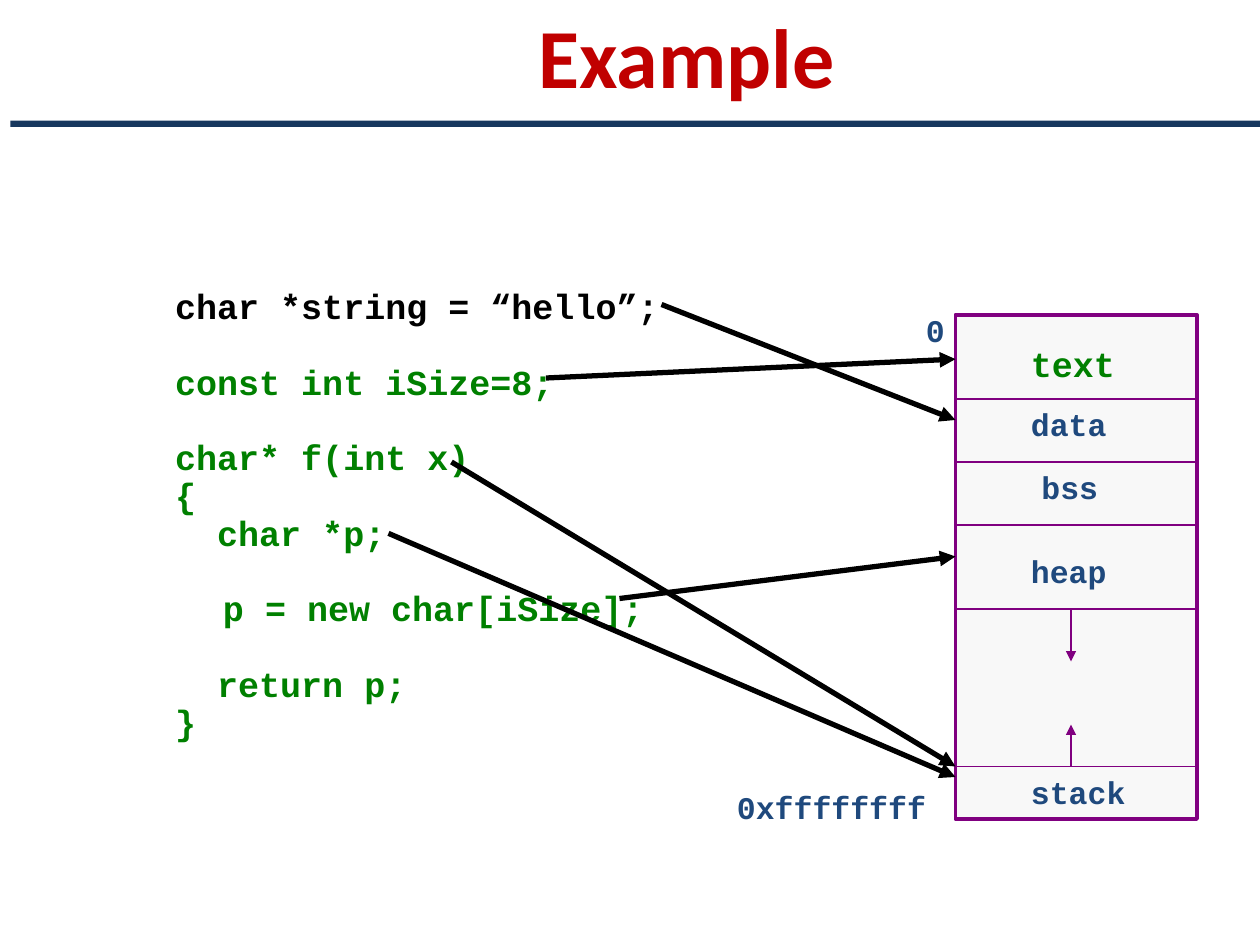
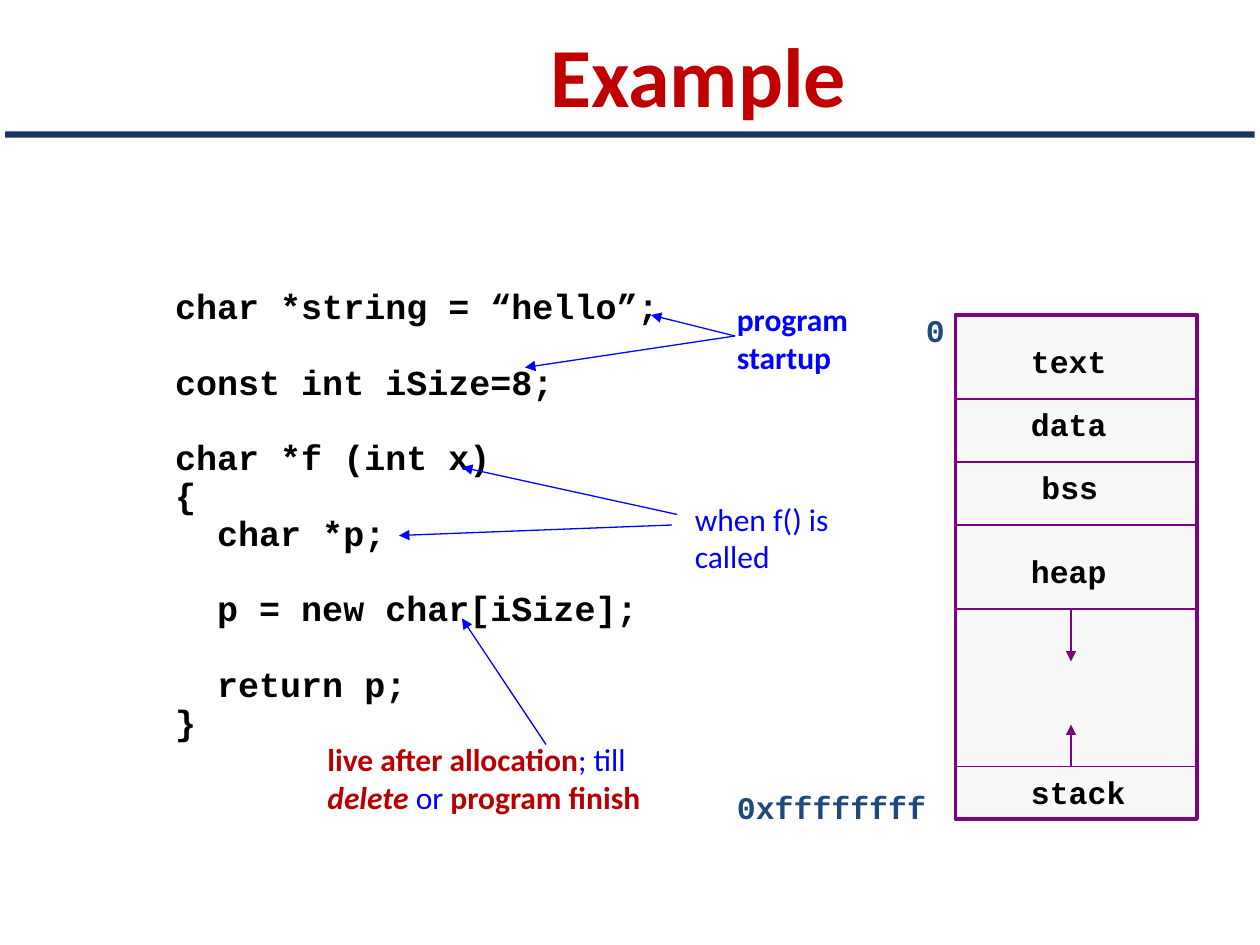
from collections import namedtuple

from lxml import etree
from pptx import Presentation
from pptx.dml.color import RGBColor
from pptx.enum.shapes import MSO_CONNECTOR, MSO_SHAPE
from pptx.enum.text import MSO_ANCHOR, MSO_AUTO_SIZE, PP_ALIGN
from pptx.oxml.ns import qn
from pptx.util import Inches, Pt

STRAIGHT = MSO_CONNECTOR.STRAIGHT
RECT = MSO_SHAPE.RECTANGLE
MIDDLE = MSO_ANCHOR.MIDDLE
CENTER = PP_ALIGN.CENTER
GROW = MSO_AUTO_SIZE.SHAPE_TO_FIT_TEXT

COLORS = {
    "title": "C00000", "rule": "17375E", "black": "000000",
    "green": "008000", "navy": "1F497D", "purple": "800080",
    "panel": "F8F8F8", "blue": "0000FF", "red": "B80000",
}
SANS, MONO = "Calibri", "Courier New"

# The slide is a grid of 120 columns by 90 rows
COLS, ROWS = 120, 90
WIDTH, HEIGHT = Inches(10), Inches(7.5)
Box = namedtuple("Box", "x y w h")
SLIDE = Box(0, 0, COLS, ROWS)
CODE = Box(15.5, 26.9, 71.5, 54)
MEMORY = Box(91, 30, 23, 48)
LINE_PITCH = 21.6


def col(n):
    return round(WIDTH * n / COLS)


def row(n):
    return round(HEIGHT * n / ROWS)


def rgb(name):
    return RGBColor.from_string(COLORS[name])


def place(box, x, y, w, h):
    """Turn a place inside a box into left, top, width, height."""
    return col(box.x + x), row(box.y + y), col(w), row(h)


def style(font, size, color, name=MONO, bold=True):
    font.size, font.name, font.bold = Pt(size), name, bold
    font.color.rgb = rgb(color)


def add_text(s, box, x, y, w, h, wrap=True, grow=True):
    tf = s.shapes.add_textbox(*place(box, x, y, w, h)).text_frame
    tf.word_wrap = wrap
    if grow:
        tf.auto_size = GROW
    return tf


def add_label(s, box, x, y, w, h, text, size=18, color="navy", wrap=True, **look):
    p = add_text(s, box, x, y, w, h, wrap).paragraphs[0]
    p.text = text
    style(p.font, size, color, **look)


def add_rect(s, box, fill, line=None, weight=0):
    sp = s.shapes.add_shape(RECT, *place(SLIDE, *box))
    sp.shadow.inherit = False
    sp.fill.solid()
    sp.fill.fore_color.rgb = rgb(fill)
    if line:
        sp.line.color.rgb = rgb(line)
        sp.line.width = Pt(weight)
    else:
        sp.line.fill.background()


def add_line(s, box, start, end, color, weight=0.75, arrow=True):
    (x1, y1), (x2, y2) = start, end
    cn = s.shapes.add_connector(STRAIGHT, col(box.x + x1), row(box.y + y1),
                                col(box.x + x2), row(box.y + y2))
    cn.line.color.rgb = rgb(color)
    cn.line.width = Pt(weight)
    if arrow:
        etree.SubElement(cn.line._get_or_add_ln(), qn("a:tailEnd"), type="triangle")
    etree.SubElement(cn._element.spPr, qn("a:effectLst"))


def add_heading(s, box, rule):
    """Centred title with a band below."""
    tf = add_text(s, box, 0, 0, box.w, box.h, grow=False)
    tf.vertical_anchor = MIDDLE
    p = tf.paragraphs[0]
    p.text = "Example"
    p.alignment = CENTER
    style(p.font, 48, "title", SANS)
    add_rect(s, rule, "rule")


def add_code(s, box, blocks, color, first_color="black"):
    """Blocks of code lines, one line's height apart."""
    tf = add_text(s, box, 0, 0, box.w, box.h, grow=False)
    for b, block in enumerate(blocks):
        for i, line in enumerate(block):
            first = b == i == 0
            p = tf.paragraphs[0] if first else tf.add_paragraph()
            p.text = line
            p.line_spacing = Pt(LINE_PITCH)
            if b and not i:
                p.space_before = Pt(LINE_PITCH)
            pPr = p._p.get_or_add_pPr()
            pPr.set("marL", str(Inches(0.38)))
            pPr.set("indent", str(-Inches(0.38)))
            style(p.font, 20, first_color if first else color)


def add_memory(s, box, color, text_size=18, text_color=None):
    """Memory map with its segments, addresses and growth arrows."""
    add_rect(s, box, "panel", "purple", 2.25)
    add_label(s, box, -22, 44.5, 22.4, 5.2, "0xffffffff", wrap=False)
    add_label(s, box, -4, -1, 5, 5.2, "0")
    for y in (8, 14, 20, 28, 43):
        add_line(s, box, (0, y), (box.w, y), "purple", arrow=False)
    add_label(s, box, 6, 2, 14, 5.2, "text", text_size, text_color or color)
    for name, x, y, w in (("data", 6, 8, 15), ("bss", 7, 14, 10),
                          ("heap", 6, 22, 14), ("stack", 6, 43, 15)):
        add_label(s, box, x, y, w, 5, name, color=color)
    for start, end in ((28, 33), (43, 39)):
        add_line(s, box, (11, start), (11, end), "purple")


def add_lifetime_note(s, box):
    """Note in mixed styles on how long the allocation lives."""
    p = add_text(s, box, 0, 0, box.w, box.h).paragraphs[0]
    p.font.size, p.font.name = Pt(18), SANS
    for text, color, bold, italic in (
            ("live after allocation", "red", True, False),
            ("; till ", "blue", False, False),
            ("delete ", "red", True, True),
            ("or ", "blue", False, False),
            ("program finish", "red", True, False)):
        r = p.add_run()
        r.text = text
        r.font.bold, r.font.italic = bold, italic
        r.font.color.rgb = rgb(color)


def code_blocks(signature, allocation):
    return (["char *string = “hello”;"], ["const int iSize=8;"],
            [signature, "{", "  char *p;"], [allocation], ["  return p;", "}"])


def build_placement(s):
    """Where each variable is stored."""
    add_heading(s, Box(11.9, -0.6, 107, 11.6), Box(1, 11.5, 119, 0.6))
    add_code(s, CODE, code_blocks("char* f(int x)", "\tp = new char[iSize];"), "green")
    add_memory(s, MEMORY, "navy", 20, "green")
    for start, y in (((63, 29), 40), ((52, 36), 34.2), ((37, 50.8), 74),
                     ((59, 57), 53), ((43, 44), 73)):
        add_line(s, SLIDE, start, (MEMORY.x, y), "black", 3)


def build_lifetime(s):
    """When each variable is allocated."""
    add_heading(s, Box(13, 0, 107, 14), Box(0.5, 12.5, 119, 0.6))
    add_code(s, CODE, code_blocks("char *f (int x)", "  p = new char[iSize];"), "black")
    add_memory(s, MEMORY, "black")
    add_lifetime_note(s, Box(30, 69.9, 33, 8.5))
    add_label(s, SLIDE, 65, 47, 17, 9.2, "when f() is called",
              color="blue", name=SANS, bold=False)
    add_label(s, SLIDE, 69, 28, 17, 8.5, "program startup", color="blue", name=SANS)
    for start, end in (((52, 70.9), (44, 58.9)), ((64, 50), (38, 51)),
                       ((70, 32), (62, 30)), ((70, 32), (50, 35)),
                       ((64.5, 49), (44, 44.5))):
        add_line(s, SLIDE, start, end, "blue")


def main():
    prs = Presentation()
    prs.slide_width, prs.slide_height = WIDTH, HEIGHT
    for build in (build_placement, build_lifetime):
        build(prs.slides.add_slide(prs.slide_layouts[6]))
    prs.save("out.pptx")


if __name__ == "__main__":
    main()
